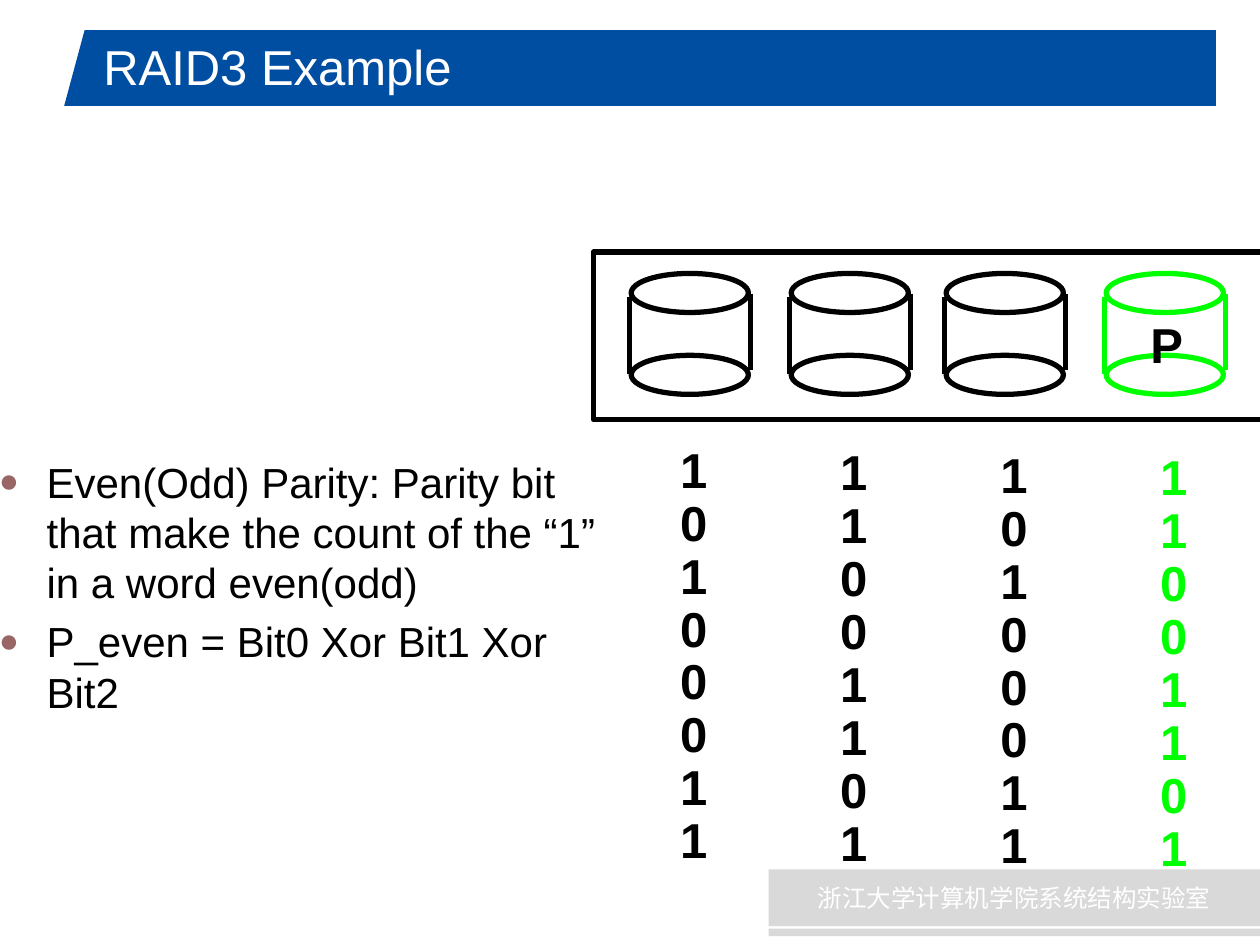
import dataclasses

import lxml.etree
import pptx
import pptx.dml.color
import pptx.enum.shapes
import pptx.enum.text
import pptx.oxml.ns
import pptx.util

RGBColor = pptx.dml.color.RGBColor
SHAPE = pptx.enum.shapes.MSO_SHAPE
ALIGN = pptx.enum.text.PP_ALIGN
ANCHOR = pptx.enum.text.MSO_ANCHOR
AUTOSIZE = pptx.enum.text.MSO_AUTO_SIZE
qn = pptx.oxml.ns.qn

BLUE = RGBColor(0x00, 0x4E, 0xA2)
GRAY = RGBColor(0xD9, 0xD9, 0xD9)
WHITE = RGBColor(0xFF, 0xFF, 0xFF)
BLACK = RGBColor(0x00, 0x00, 0x00)
GREEN = RGBColor(0x00, 0xFF, 0x00)
BULLET = RGBColor(0x99, 0x66, 0x66)

COLUMNS, ROWS = 100, 75
CELL = pptx.util.Inches(0.1)
STROKE = pptx.util.Pt(3)


@dataclasses.dataclass(frozen=True)
class Box:
    column: float
    row: float
    columns: float
    rows: float

    def lengths(self) -> list[int]:
        return [grid(n) for n in dataclasses.astuple(self)]


@dataclasses.dataclass(frozen=True)
class Disk:
    column: float
    bits: str
    color: RGBColor = BLACK


DISKS = (
    Disk(50.1, "10100011"),
    Disk(62.8, "11001101"),
    Disk(75.1, "10100011"),
    Disk(87.8, "11001101", GREEN),
)
BANNER = (
    (SHAPE.TRAPEZOID, Box(5.1, 2.4, 40.6, 6), BLUE),
    (SHAPE.RECTANGLE, Box(38.2, 2.4, 58.3, 6), BLUE),
    (SHAPE.RECTANGLE, Box(48.5, 7.9, 48, 0.5), BLUE),
)
PARITY_RULES = (
    "Even(Odd) Parity: Parity bit that make the count of the “1” in a word even(odd)",
    "P_even = Bit0 Xor Bit1 Xor Bit2",
)


def grid(cells: float) -> int:
    return round(cells * CELL)


def write(frame, lines, *, size, color=BLACK, font="Arial", bold=False,
          align=ALIGN.LEFT, anchor=ANCHOR.TOP, spacing=None, wrap=True,
          autosize=AUTOSIZE.NONE) -> None:
    frame.text = "\n".join(lines)
    frame.word_wrap = wrap
    frame.auto_size = autosize
    frame.vertical_anchor = anchor
    for paragraph in frame.paragraphs:
        paragraph.alignment = align
        paragraph.line_spacing = spacing
        for run in paragraph.runs:
            run.font.size = pptx.util.Pt(size)
            run.font.bold = bold
            run.font.color.rgb = color
            run.font.name = font
            lxml.etree.SubElement(run.font._element, qn("a:ea"), typeface=font)


def add_figure(slide, kind, box: Box, *, fill=None, line=None):
    figure = slide.shapes.add_shape(kind, *box.lengths())
    figure.shadow.inherit = False
    if fill is None:
        figure.fill.background()
    else:
        figure.fill.solid()
        figure.fill.fore_color.rgb = fill
    if line is None:
        figure.line.fill.background()
    else:
        figure.line.color.rgb = line
        figure.line.width = STROKE
    return figure


def add_label(slide, box: Box, lines, color: RGBColor, spacing: float) -> None:
    label = slide.shapes.add_textbox(*box.lengths())
    write(label.text_frame, lines, size=28, color=color, bold=True,
          align=ALIGN.CENTER, spacing=spacing, wrap=False,
          autosize=AUTOSIZE.SHAPE_TO_FIT_TEXT)


def add_side(slide, column: float, row: float, color: RGBColor) -> None:
    side = slide.shapes.add_connector(
        pptx.enum.shapes.MSO_CONNECTOR.STRAIGHT,
        grid(column), grid(row), grid(column), grid(row + 6.1))
    side.line.color.rgb = color
    side.line.width = STROKE
    lxml.etree.SubElement(side._element.spPr, qn("a:effectLst"))


def add_disk(slide, disk: Disk) -> None:
    for row in (21.7, 28.2):
        add_figure(slide, SHAPE.OVAL, Box(disk.column, row, 9.3, 3.1),
                   fill=WHITE, line=disk.color)
    add_side(slide, disk.column - 0.15, 23.6, disk.color)
    add_side(slide, disk.column + 9.45, 23.3, disk.color)


def add_bullets(frame) -> None:
    for paragraph in frame.paragraphs:
        properties = paragraph._p.get_or_add_pPr()
        properties.set("marL", str(grid(3.8)))
        properties.set("indent", str(-grid(3.8)))
        color = lxml.etree.SubElement(properties, qn("a:buClr"))
        lxml.etree.SubElement(color, qn("a:srgbClr"), val=str(BULLET))
        lxml.etree.SubElement(properties, qn("a:buSzPct"), val="80000")
        lxml.etree.SubElement(properties, qn("a:buFont"), typeface="Arial")
        lxml.etree.SubElement(properties, qn("a:buChar"), char="●")


def place(slide, placeholder, box: Box) -> None:
    (placeholder.left, placeholder.top,
     placeholder.width, placeholder.height) = box.lengths()
    slide.shapes._spTree.append(placeholder._element)


def main() -> None:
    deck = pptx.Presentation()
    deck.slide_width, deck.slide_height = grid(COLUMNS), grid(ROWS)
    slide = deck.slides.add_slide(deck.slide_layouts[1])
    title, rules = slide.placeholders

    for kind, box, color in BANNER:
        band = add_figure(slide, kind, box, fill=color)
        if kind == SHAPE.TRAPEZOID:
            band.adjustments[0] = 0.27
    lab = add_figure(slide, SHAPE.RECTANGLE, Box(61, 69, 39, 4.5), fill=GRAY)
    write(lab.text_frame, ["浙江大学计算机学院系统结构实验室"], size=14,
          color=WHITE, font="Noto Sans CJK SC", align=ALIGN.CENTER,
          anchor=ANCHOR.MIDDLE)
    add_figure(slide, SHAPE.RECTANGLE, Box(61, 73.7, 39, 0.6), fill=GRAY)

    place(slide, rules, Box(-1.1, 35.7, 51.9, 48.3))
    write(rules.text_frame, PARITY_RULES, size=24)
    add_bullets(rules.text_frame)
    place(slide, title, Box(7.2, 2.5, 86.4, 5.5))
    write(title.text_frame, ["RAID3 Example"], size=28, color=WHITE,
          anchor=ANCHOR.MIDDLE)

    for disk in DISKS:
        add_disk(slide, disk)
    add_figure(slide, SHAPE.RECTANGLE, Box(47.1, 20, 53.1, 13.3), line=BLACK)
    add_label(slide, Box(90.3, 25.2, 4.6, 4.9), ["P"], BLACK, 0.85)
    for index, disk in enumerate(DISKS):
        box = Box(53 + 12.7 * index, 34.9 + 0.2 * index, 4.1, 34.6)
        add_label(slide, box, disk.bits, disk.color, 0.9)

    deck.save("out.pptx")


if __name__ == "__main__":
    main()
